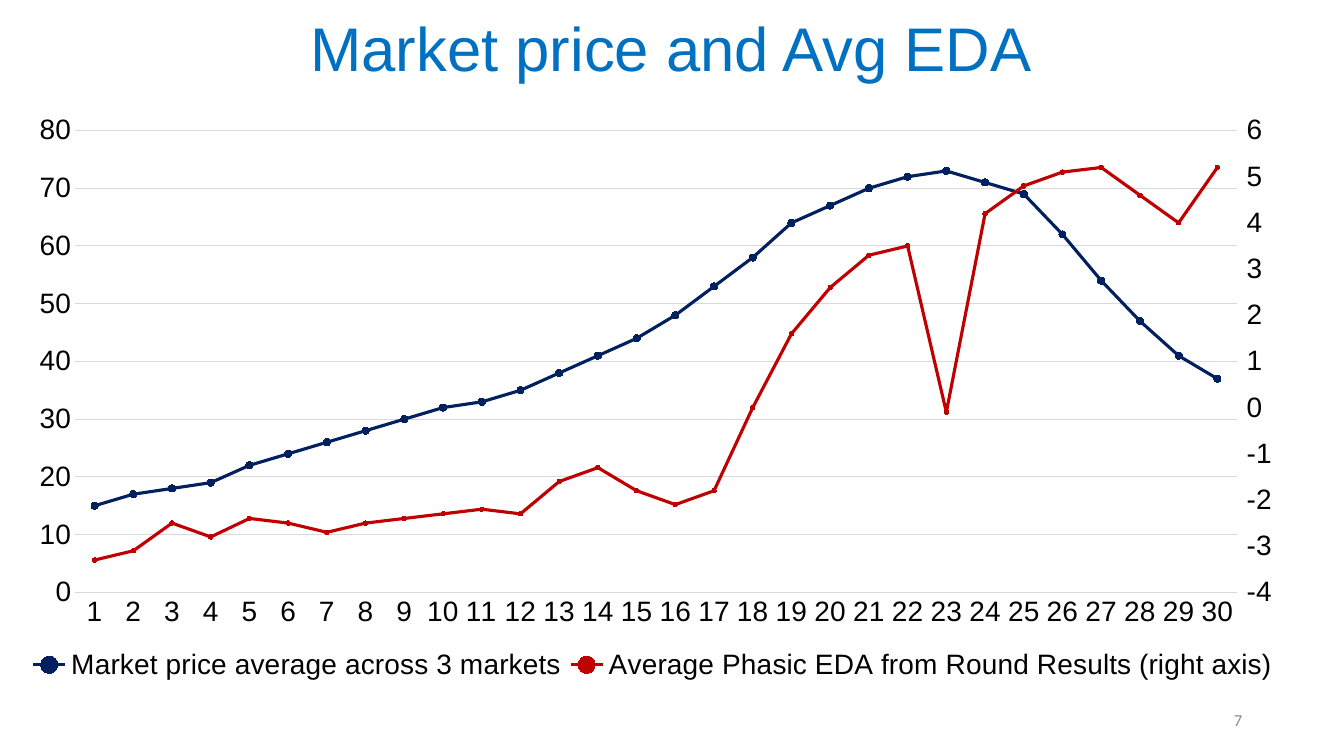
from copy import deepcopy

from pptx import Presentation
from pptx.chart.axis import CategoryAxis as CatAxis, ValueAxis as ValAxis
from pptx.chart.data import CategoryChartData as Data
from pptx.dml.color import RGBColor as RGB
from pptx.enum.chart import XL_CHART_TYPE as Kind
from pptx.enum.chart import XL_LEGEND_POSITION as Place, XL_MARKER_STYLE as Mark
from pptx.enum.chart import XL_TICK_MARK as Tick
from pptx.enum.text import MSO_ANCHOR as Anchor, PP_ALIGN as Align
from pptx.oxml import parse_xml
from pptx.oxml.ns import nsdecls, qn
from pptx.util import Inches, Pt

COLORS = {"title": "0070C0", "text": "000000", "number": "8C8C8C",
          "grid": "D9D9D9", "price": "002060", "eda": "C00000"}
PRICE = [15, 17, 18, 19, 22, 24, 26, 28, 30, 32, 33, 35, 38, 41, 44,
         48, 53, 58, 64, 67, 70, 72, 73, 71, 69, 62, 54, 47, 41, 37]
EDA = [-3.3, -3.1, -2.5, -2.8, -2.4, -2.5, -2.7, -2.5, -2.4, -2.3,
       -2.2, -2.3, -1.6, -1.3, -1.8, -2.1, -1.8, 0, 1.6, 2.6,
       3.3, 3.5, -0.1, 4.2, 4.8, 5.1, 5.2, 4.6, 4, 5.2]


def color(name):
    return RGB.from_string(COLORS[name])


def set_font(font, face, size, tone):
    font.name = face
    font.size = Pt(size)
    font.color.rgb = color(tone)


def add_label(slide, box, text, face, size, tone, align):
    frame = slide.shapes.add_textbox(*map(Inches, box)).text_frame
    frame.word_wrap = True
    frame.vertical_anchor = Anchor.MIDDLE
    para = frame.paragraphs[0]
    para.alignment = align
    para.line_spacing = 0.9
    run = para.add_run()
    run.text = text
    set_font(run.font, face, size, tone)


def style_line(line, tone, width):
    line.color.rgb = color(tone)
    line.width = Pt(width)


def style_series(series, tone, size):
    series.smooth = False
    style_line(series.format.line, tone, 2.25)
    mark = series.marker
    mark.style = Mark.CIRCLE
    mark.size = size
    mark.format.fill.solid()
    mark.format.fill.fore_color.rgb = color(tone)
    style_line(mark.format.line, tone, 0.75)


def style_axis(axis, low=None, high=None, step=None):
    axis.major_tick_mark = axis.minor_tick_mark = Tick.NONE
    set_font(axis.tick_labels.font, "Arial", 20, "text")
    if step:
        axis.minimum_scale, axis.maximum_scale = low, high
        axis.major_unit = step
        axis.format.line.fill.background()
        axis.has_major_gridlines = True
        style_line(axis.major_gridlines.format.line, "grid", 0.75)
    else:
        style_line(axis.format.line, "grid", 0.75)


def set_layout(part, spot, box, target=()):
    for old in part.findall(qn("c:layout")):
        part.remove(old)
    items = [*target, ("xMode", "edge"), ("yMode", "edge"),
             *zip("xywh", box)]
    inner = "".join(f'<c:{tag} val="{val}"/>' for tag, val in items)
    part.insert(spot, parse_xml(
        f'<c:layout {nsdecls("c")}><c:manualLayout>'
        f'{inner}</c:manualLayout></c:layout>'))


def add_right(area):
    left = area.find(qn("c:lineChart"))
    right = deepcopy(left)
    left.remove(left.findall(qn("c:ser"))[1])
    right.remove(right.findall(qn("c:ser"))[0])
    left.addnext(right)
    cat, val = (deepcopy(area.find(qn(tag))) for tag in ("c:catAx", "c:valAx"))
    area.find(qn("c:valAx")).addnext(val)
    val.addnext(cat)
    ids = {cat.find(qn("c:axId")).get("val"): "5001",
           val.find(qn("c:axId")).get("val"): "5002"}
    for part in (right, cat, val):
        for tag in ("c:axId", "c:crossAx"):
            for node in part.findall(qn(tag)):
                node.set("val", ids[node.get("val")])
    val.find(qn("c:axPos")).set("val", "r")
    val.find(qn("c:crosses")).set("val", "max")
    CatAxis(cat).visible = False
    scale = ValAxis(val)
    scale.has_major_gridlines = False
    scale.minimum_scale, scale.maximum_scale = -4, 6
    scale.major_unit = 1
    scale.major_tick_mark = Tick.OUTSIDE


def add_plot(slide, box):
    data = Data()
    data.categories = [str(num) for num in range(1, 31)]
    data.add_series("Market price average across 3 markets", PRICE)
    data.add_series("Average Phasic EDA from Round Results (right axis)", EDA)
    chart = slide.shapes.add_chart(
        Kind.LINE_MARKERS, *map(Inches, box), data).chart
    chart.has_title = False
    set_font(chart.font, "Arial", 20, "text")
    chart.has_legend = True
    chart.legend.position = Place.BOTTOM
    chart.legend.include_in_layout = False
    set_font(chart.legend.font, "Arial", 20, "text")
    plot = chart.plots[0]
    plot.vary_by_categories = False
    for series, tone, size in zip(plot.series, ("price", "eda"), (5, 3)):
        style_series(series, tone, size)
    style_axis(chart.category_axis)
    style_axis(chart.value_axis, 0, 80, 10)
    area = chart.element.find(".//" + qn("c:plotArea"))
    set_layout(area, 0, (0.05, 0.04, 0.905, 0.778),
               [("layoutTarget", "inner")])
    set_layout(chart.element.find(".//" + qn("c:legend")), 1,
               (0.01, 0.9, 0.98, 0.08))
    add_right(area)


def main():
    deck = Presentation()
    deck.slide_width, deck.slide_height = Inches(13.33), Inches(7.5)
    slide = deck.slides.add_slide(deck.slide_layouts[6])
    add_label(slide, (2.98, 0.06, 7.54, 0.91), "Market price and Avg EDA",
              "Arial", 44, "title", Align.LEFT)
    add_plot(slide, (0.11, 1.06, 12.73, 5.89))
    add_label(slide, (9.42, 6.95, 3, 0.4), "7",
              "Calibri", 12, "number", Align.RIGHT)
    deck.save("out.pptx")


if __name__ == "__main__":
    main()
